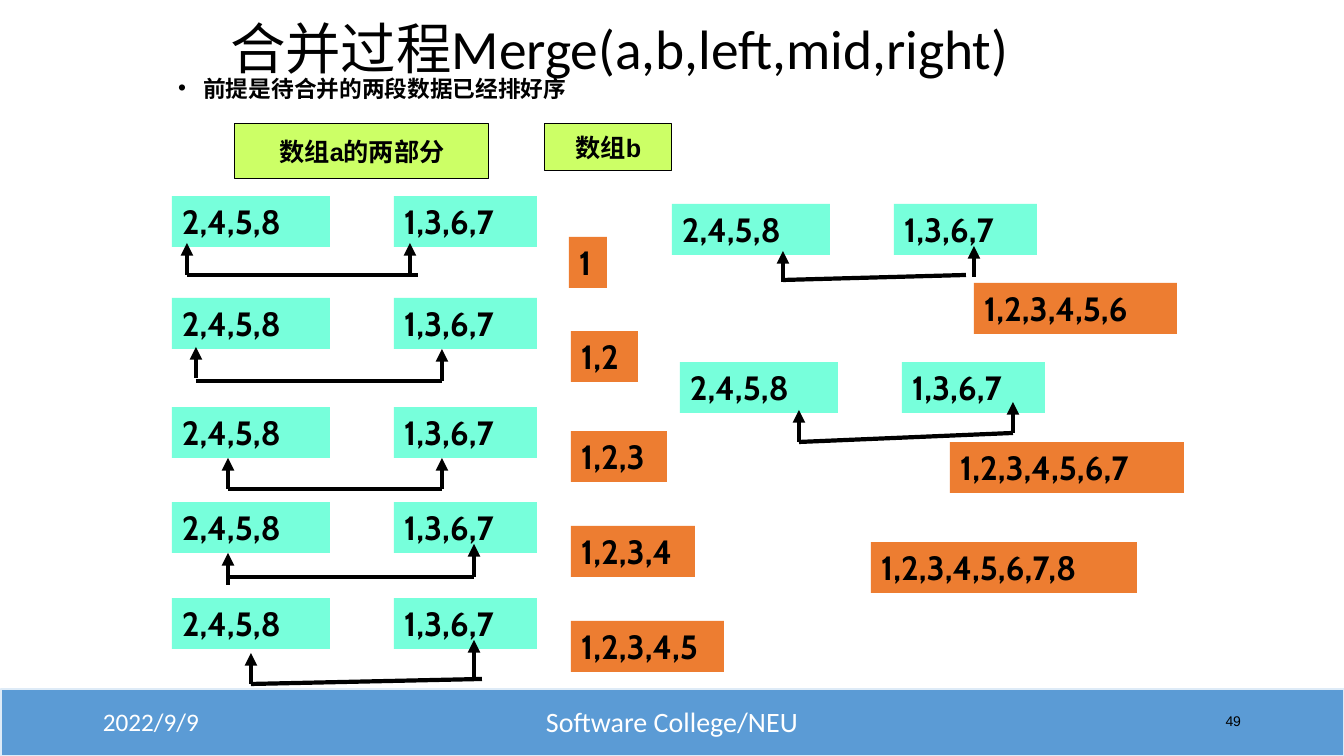
from lxml import etree
from pptx import Presentation
from pptx.dml.color import RGBColor
from pptx.enum.shapes import MSO_CONNECTOR, MSO_SHAPE
from pptx.enum.text import MSO_ANCHOR, MSO_AUTO_SIZE, PP_ALIGN
from pptx.oxml.ns import qn
from pptx.util import Pt

SLIDE_WIDTH, SLIDE_HEIGHT = 1344, 756
EMU_PER_PX = 12192000 / SLIDE_WIDTH

BLACK = RGBColor(0x00, 0x00, 0x00)
WHITE = RGBColor(0xFF, 0xFF, 0xFF)
BLUE = RGBColor(0x5B, 0x9B, 0xD5)
PALE_BLUE = RGBColor(0xDE, 0xEB, 0xF7)
MINT = RGBColor(0x77, 0xFF, 0xDB)
ORANGE = RGBColor(0xED, 0x7D, 0x31)
LIME = RGBColor(0xCC, 0xFF, 0x66)

RECTANGLE = MSO_SHAPE.RECTANGLE
STRAIGHT = MSO_CONNECTOR.STRAIGHT
TOP, MIDDLE, BOTTOM = MSO_ANCHOR.TOP, MSO_ANCHOR.MIDDLE, MSO_ANCHOR.BOTTOM
LEFT, CENTER, RIGHT = PP_ALIGN.LEFT, PP_ALIGN.CENTER, PP_ALIGN.RIGHT

NUMBER_HEIGHT = 51
RIGHT_HALF_OFFSET = 222

# pair corner, left pointer (x, tip, tail), right pointer, bar ends, merged (x, y, width, count)
STEPS = [
    ((172, 196), (187, 243, 275), (410, 243, 275), (187, 275, 418, 275), (569, 237, 38, 1)),
    ((172, 298), (196, 347, 378), (442, 349, 381), (196, 381, 442, 381), (571, 331, 67, 2)),
    ((172, 407), (228, 458, 489), (442, 458, 489), (228, 489, 442, 489), (571, 431, 96, 3)),
    ((172, 502), (228, 553, 585), (474, 544, 577), (228, 577, 474, 577), (571, 526, 124, 4)),
    ((172, 598), (251, 653, 684), (474, 640, 679), (251, 684, 482, 679), (571, 621, 153, 5)),
    ((672, 204), (783, 251, 282), (974, 246, 277), (783, 280, 966, 275), (974, 283, 203, 6)),
    ((680, 362), (799, 410, 442), (1013, 402, 433), (799, 442, 1013, 433), (950, 442, 234, 7)),
]
FINAL_MERGED = (871, 542, 266, 8)


def px(*lengths):
    return [round(length * EMU_PER_PX) for length in lengths]


def set_text(shape, text, size, font, color=BLACK, bold=False, align=LEFT, anchor=TOP):
    frame = shape.text_frame
    frame.text = text
    frame.word_wrap = True
    frame.auto_size = MSO_AUTO_SIZE.NONE
    frame.vertical_anchor = anchor
    paragraph = frame.paragraphs[0]
    paragraph.alignment = align
    for run in paragraph.runs:
        run.font.size = Pt(size)
        run.font.name = font
        run.font.bold = bold
        run.font.color.rgb = color
    return paragraph


def add_box(slide, bounds, fill, outline=None, outline_width=0.75):
    box = slide.shapes.add_shape(RECTANGLE, *px(*bounds))
    box.shadow.inherit = False
    box.fill.solid()
    box.fill.fore_color.rgb = fill
    if outline is None:
        box.line.fill.background()
    else:
        box.line.color.rgb = outline
        box.line.width = Pt(outline_width)
    return box


def add_numbers(slide, left, top, width, text, fill):
    box = add_box(slide, (left, top, width, NUMBER_HEIGHT), fill)
    set_text(box, text, 24, "Cabin", bold=True)


def add_merged(slide, left, top, width, count):
    """Show the first count numbers already merged into array b."""
    text = ",".join(str(number) for number in range(1, count + 1))
    add_numbers(slide, left, top, width, text, ORANGE)


def add_label(slide, bounds, text):
    box = add_box(slide, bounds, LIME, BLACK)
    set_text(box, text, 18, "Arial", bold=True, align=CENTER, anchor=MIDDLE)


def add_line(slide, start_x, start_y, end_x, end_y):
    line = slide.shapes.add_connector(STRAIGHT, *px(start_x, start_y, end_x, end_y))
    line.line.color.rgb = BLACK
    line.line.width = Pt(3)
    etree.SubElement(line._element.spPr, qn("a:effectLst"))
    return line


def add_pointer(slide, x, tip, tail):
    line = add_line(slide, x, tip, x, tail)
    etree.SubElement(line.line._get_or_add_ln(), qn("a:headEnd"), type="triangle")


def add_step(slide, pair, left_pointer, right_pointer, bar, merged):
    left, top = pair
    add_numbers(slide, left, top, 158, "2,4,5,8", MINT)
    add_numbers(slide, left + RIGHT_HALF_OFFSET, top, 143, "1,3,6,7", MINT)
    add_pointer(slide, *left_pointer)
    add_pointer(slide, *right_pointer)
    add_line(slide, *bar)
    add_merged(slide, *merged)


def place(shape, *bounds):
    shape.left, shape.top, shape.width, shape.height = px(*bounds)


def fill_placeholders(slide):
    title, body = slide.shapes.title, slide.placeholders[1]
    place(title, 220, 0, 832, 87)
    heading = set_text(title, "合并过程Merge(a,b,left,mid,right)", 39.6, "Calibri", anchor=BOTTOM)
    heading.line_spacing = 0.9

    place(body, 168, 77, 987, 60)
    premise = set_text(body, "前提是待合并的两段数据已经排好序", 16.2, "Calibri", bold=True)
    premise.line_spacing = 0.7
    premise.space_before = Pt(10)
    properties = premise._p.get_or_add_pPr()
    properties.set("marL", "228600")
    properties.set("indent", "-228600")
    etree.SubElement(properties, qn("a:buFont"), typeface="Arial")
    etree.SubElement(properties, qn("a:buChar"), char="•")


def add_footer(slide):
    add_box(slide, (1, 689, 1343, 67), BLUE, PALE_BLUE, 1)
    for left, width, text, size, font, color, align in [
        (93, 302, "2022/9/9", 18, "Calibri", WHITE, LEFT),
        (445, 454, "Software College/NEU", 20, "Calibri", WHITE, CENTER),
        (949, 302, "49", 10, "Arial", BLACK, RIGHT),
    ]:
        box = slide.shapes.add_textbox(*px(left, 701, width, 40))
        set_text(box, text, size, font, color, align=align, anchor=MIDDLE)


def main():
    presentation = Presentation()
    presentation.slide_width, presentation.slide_height = px(SLIDE_WIDTH, SLIDE_HEIGHT)
    slide = presentation.slides.add_slide(presentation.slide_layouts[1])
    add_footer(slide)
    fill_placeholders(slide)
    add_label(slide, (235, 124, 254, 55), "数组a的两部分")
    add_label(slide, (545, 124, 127, 47), "数组b")
    for step in STEPS:
        add_step(slide, *step)
    add_merged(slide, *FINAL_MERGED)
    presentation.save("out.pptx")


if __name__ == "__main__":
    main()
